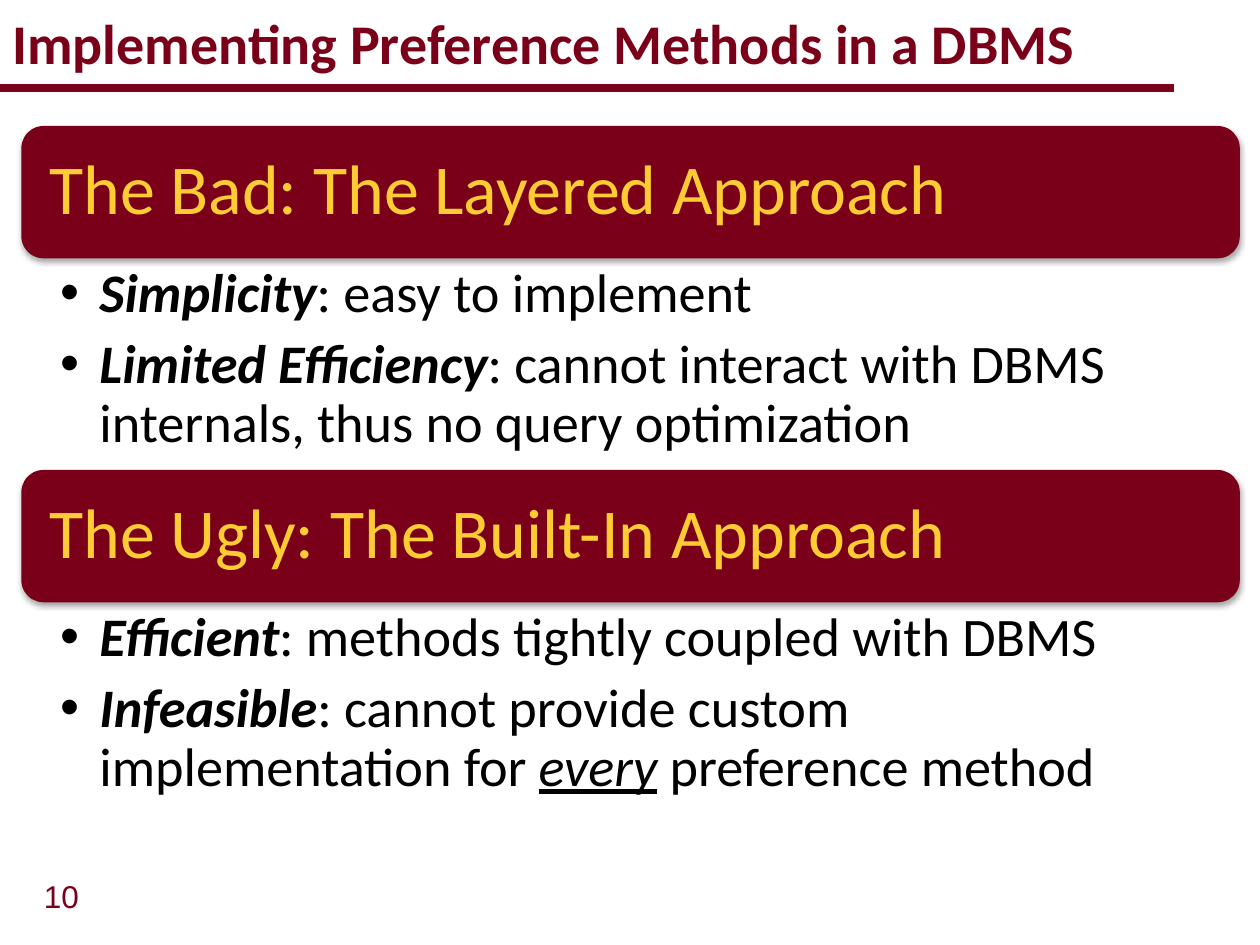
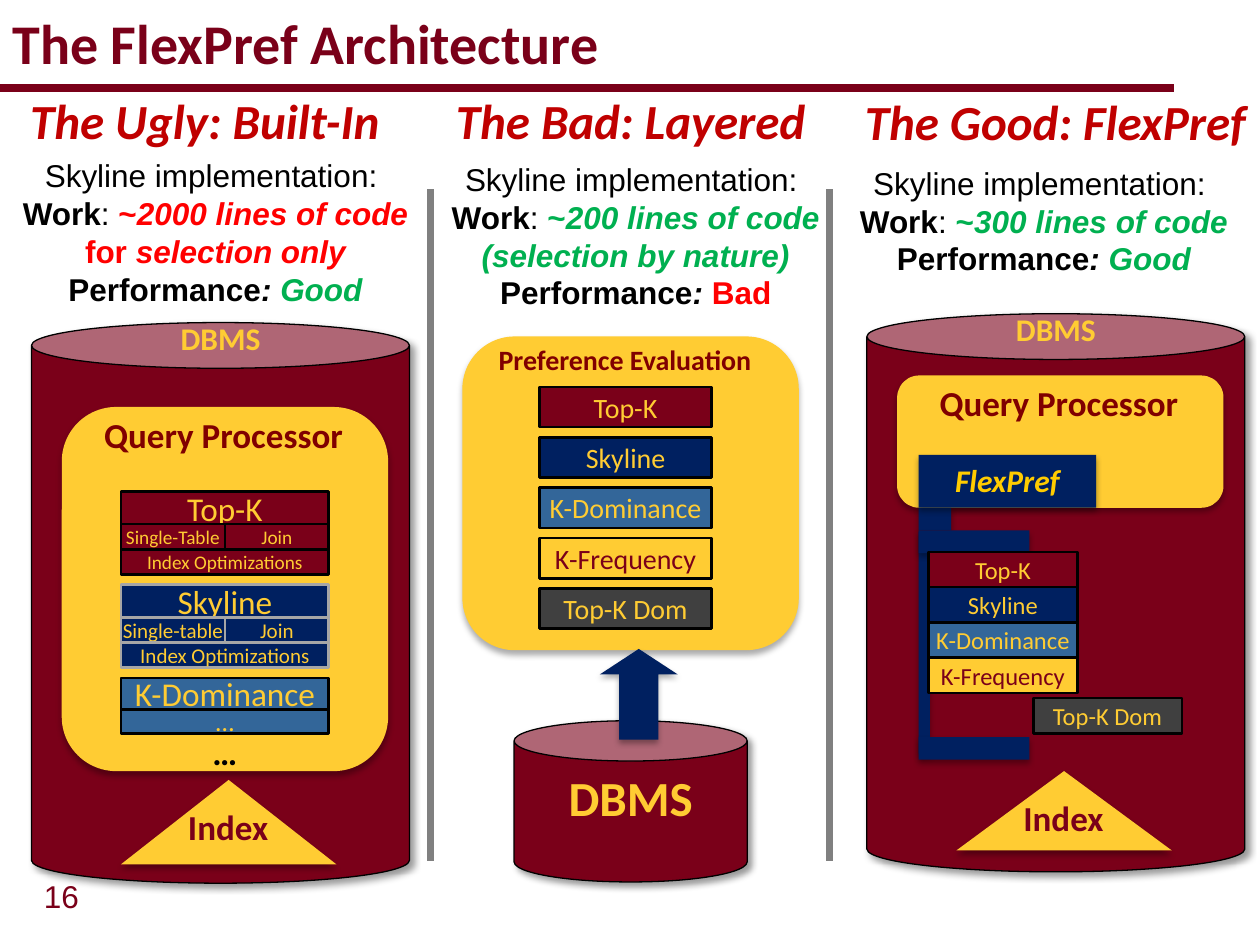
from lxml import etree
from pptx import Presentation
from pptx.dml.color import RGBColor
from pptx.enum.shapes import MSO_CONNECTOR as CONN, MSO_SHAPE as SHAPE
from pptx.enum.text import MSO_ANCHOR as ANCHOR, PP_ALIGN as ALIGN
from pptx.oxml import parse_xml
from pptx.oxml.ns import nsdecls, qn
from pptx.util import Inches, Pt

C = {
    "maroon": "7A0019", "gold": "FFCC33", "brown": "800000", "navy": "002060",
    "blue": "336699", "dark": "404040", "black": "000000", "gray": "808080",
    "silver": "A6A6A6", "crimson": "C00000", "red": "FF0000", "green": "00B050",
    "yellow": "FFCC00",
}
SHADOWS = {
    "title": (35, 3.1, 1.8, 90),
    "box": (32, 3.5, 2.2, 90),
    "can": (40, 4, 3, 45),
}
METHODS = [
    ("Top-K", "maroon", "gold"),
    ("Skyline", "navy", "gold"),
    ("K-Dominance", "blue", "gold"),
    ("K-Frequency", "gold", "maroon"),
    ("Top-K Dom", "dark", "gold"),
]


def rgb(name):
    return RGBColor.from_string(C[name])


class Deck:
    def __init__(self):
        self.prs = Presentation()
        self.prs.slide_width, self.prs.slide_height = Inches(10), Inches(7.5)
        self.s = None

    def slide(self, title, number):
        self.s = self.prs.slides.add_slide(self.prs.slide_layouts[6])
        self.text(0.25, 6.91, 0.51, 0.4, number, 18, "maroon", font="Arial",
                  align=ALIGN.LEFT, wrap=False)
        self.line(-0.01, 0.7, 9.32, 0.7, "maroon", 4.5)
        self.text(0, 0, 9.5, 0.67, title, 32, "maroon", "b",
                  align=ALIGN.LEFT, anchor=ANCHOR.MIDDLE)

    def fill_text(self, tf, paras, size, color, style="", font="Calibri",
                  align=ALIGN.CENTER, anchor=ANCHOR.TOP, wrap=True):
        tf.word_wrap, tf.vertical_anchor = wrap, anchor
        if isinstance(paras, str):
            paras = [[(paras, style, color)]]
        for i, runs in enumerate(paras):
            p = tf.add_paragraph() if i else tf.paragraphs[0]
            p.alignment = align
            for text, look, tint in runs:
                r = p.add_run()
                r.text = text
                f = r.font
                f.name, f.size, f.color.rgb = font, Pt(size), rgb(tint)
                f.bold, f.italic, f.underline = "b" in look, "i" in look, "u" in look

    def text(self, x, y, w, h, paras, size, color, style="", **options):
        tb = self.s.shapes.add_textbox(Inches(x), Inches(y), Inches(w), Inches(h))
        self.fill_text(tb.text_frame, paras, size, color, style, **options)
        return tb.text_frame

    def shape(self, kind, x, y, w, h, fill, line=None, width=0.75, shadow=None, adj=()):
        sp = self.s.shapes.add_shape(kind, Inches(x), Inches(y), Inches(w), Inches(h))
        sp.shadow.inherit = False
        sp.fill.solid()
        sp.fill.fore_color.rgb = rgb(fill)
        if line:
            sp.line.color.rgb, sp.line.width = rgb(line), Pt(width)
        else:
            sp.line.fill.background()
        for i, value in enumerate(adj):
            sp.adjustments[i] = value
        if shadow:
            self.drop_shadow(sp, *SHADOWS[shadow])
        return sp

    def drop_shadow(self, sp, alpha, blur, dist, angle):
        effects = sp._element.spPr.find(qn("a:effectLst"))
        effects.append(parse_xml(
            f'<a:outerShdw {nsdecls("a")} blurRad="{Pt(blur)}" dist="{Pt(dist)}" '
            f'dir="{angle * 60000}" rotWithShape="0"><a:srgbClr val="{C["black"]}">'
            f'<a:alpha val="{alpha * 1000}"/></a:srgbClr></a:outerShdw>'))

    def line(self, x1, y1, x2, y2, color, width):
        cx = self.s.shapes.add_connector(
            CONN.STRAIGHT, Inches(x1), Inches(y1), Inches(x2), Inches(y2))
        cx.line.color.rgb, cx.line.width = rgb(color), Pt(width)
        etree.SubElement(cx._element.spPr, qn("a:effectLst"))

    def cell(self, x, y, w, h, label, fill, color, size, line="black"):
        sp = self.shape(SHAPE.RECTANGLE, x, y, w, h, fill, line, 1.5)
        self.fill_text(sp.text_frame, label, size, color, anchor=ANCHOR.MIDDLE, wrap=False)

    def section(self, y, heading, points):
        sp = self.shape(SHAPE.ROUNDED_RECTANGLE, 0.17, y, 9.67, 1.05, "maroon", shadow="title")
        tf = sp.text_frame
        tf.margin_left = tf.margin_right = tf.margin_top = tf.margin_bottom = Inches(0.17)
        self.fill_text(tf, heading, 40, "gold", align=ALIGN.LEFT, anchor=ANCHOR.MIDDLE)
        tf.paragraphs[0].line_spacing = 0.9
        tf = self.text(0.17, y + 1.05, 9.67, 1.68, points, 31, "black", align=ALIGN.LEFT)
        tf.margin_left = tf.margin_right = Inches(0.31)
        tf.margin_top = tf.margin_bottom = Inches(0.06)
        for p in tf.paragraphs:
            p.line_spacing, p.space_after = 0.9, Pt(7)
            pPr = p._p.get_or_add_pPr()
            pPr.set("marL", str(Inches(0.31)))
            pPr.set("indent", str(-Inches(0.31)))
            etree.SubElement(pPr, qn("a:buFont")).set("typeface", "Arial")
            etree.SubElement(pPr, qn("a:buChar")).set("char", "•")

    def dbms(self, x, y, h, processor_y, processor_h, index_y, index_h):
        self.shape(SHAPE.CAN, x, y, 3, h, "maroon", "black", shadow="can", adj=[0.121])
        self.shape(SHAPE.ROUNDED_RECTANGLE, x + 0.24, processor_y, 2.59, processor_h,
                   "gold", shadow="box")
        self.text(x + 0.29, processor_y, 2.47, 0.44, "Query Processor", 20, "brown", "b")
        self.text(x + 1.06, y - 0.08, 0.88, 0.4, "DBMS", 18, "gold", "b")
        self.shape(SHAPE.ISOSCELES_TRIANGLE, x + 0.71, index_y, 1.71, index_h,
                   "gold", shadow="box")
        self.text(x + 1.12, index_y + 0.15, 0.88, 0.44, "Index", 20, "maroon", "b")

    def method_block(self, y, name, fill, line, size, single):
        x, w = 0.96, 1.65
        self.cell(x, y, w, 0.27, name, fill, "gold", 19, line)
        for i, label in enumerate((single, "Join")):
            self.cell(x + i * w / 2, y + 0.26, w / 2, 0.2, label, fill, "gold", size, line)
        self.cell(x, y + 0.46, w, 0.2, "Index Optimizations", fill, "gold", size, line)

    def summary(self, x, y, w, work, verdict):
        self.text(x, y, w, 1.31, [
            [("Skyline implementation: ", "", "black")],
            [("Work", "b", "black"), (": ", "", "black")] + work,
            [("Performance", "b", "black"), (": ", "bi", "black"), verdict],
        ], 18, "black", font="Arial")


def approaches(d):
    d.slide("Implementing Preference Methods in a DBMS", "10")
    d.section(1, "The Bad: The Layered Approach", [
        [("Simplicity", "bi", "black"), (": easy to implement", "", "black")],
        [("Limited Efficiency", "bi", "black"),
         (": cannot interact with DBMS internals, thus no query optimization", "", "black")],
    ])
    d.section(3.73, "The Ugly: The Built-In Approach", [
        [("Efficient", "bi", "black"), (": methods tightly coupled with DBMS", "", "black")],
        [("Infeasible", "bi", "black"),
         (": cannot provide custom implementation for ", "", "black"),
         ("every", "iu", "black"), (" preference method", "", "black")],
    ])


def flexpref_column(d):
    d.dbms(6.88, 2.49, 4.43, 2.98, 1.05, 6.12, 0.63)
    x = 7.29
    for y, w, h in [(4.22, 0.09, 1.76), (4.03, 0.26, 0.18), (4.21, 0.88, 0.18),
                    (3.61, 1.41, 0.42), (5.85, 0.88, 0.18)]:
        d.shape(SHAPE.RECTANGLE, x, y, w, h, "navy", shadow="box")
    d.text(x, 3.61, 1.41, 0.4, "FlexPref", 18, "yellow", "bi")
    for i, method in enumerate(METHODS[:-1]):
        d.cell(7.37, 4.38 + i * 0.28, 1.18, 0.28, *method, 14)
    d.cell(8.2, 5.54, 1.18, 0.28, *METHODS[-1], 14)


def built_in_column(d):
    d.dbms(0.25, 2.56, 4.45, 3.23, 2.89, 6.19, 0.67)
    d.method_block(3.9, "Top-K", "maroon", "black", 11, "Single-Table")
    d.method_block(4.64, "Skyline", "navy", "silver", 12, "Single-table")
    d.cell(0.96, 5.38, 1.65, 0.25, "K-Dominance", "blue", "gold", 19)
    d.cell(0.96, 5.63, 1.65, 0.19, "…", "blue", "gold", 15)
    d.text(0.96, 5.75, 1.65, 0.39, "…", 20, "black", "b")


def layered_column(d):
    d.shape(SHAPE.ROUNDED_RECTANGLE, 3.67, 2.67, 2.67, 2.49, "gold", shadow="box")
    d.text(3.8, 2.67, 2.32, 0.37, "Preference Evaluation", 16, "brown", "b")
    for i, method in enumerate(METHODS):
        d.cell(4.28, 3.07 + i * 0.4, 1.37, 0.32, *method, 16)
    can = d.shape(SHAPE.CAN, 4.08, 5.72, 1.85, 1.28, "maroon", "black", shadow="can")
    d.fill_text(can.text_frame, "DBMS", 28, "gold", "b")
    d.shape(SHAPE.UP_ARROW, 4.76, 5.15, 0.62, 0.72, "navy", shadow="box", adj=[0.5, 0.328])


def architecture(d):
    d.slide("The FlexPref Architecture", "16")
    flexpref_column(d)
    built_in_column(d)
    layered_column(d)
    for x in (3.42, 6.58):
        d.line(x, 1.5, x, 6.83, "gray", 4)
    for x, y, w, heading in [(0, 0.67, 3.25, "The Ugly: Built-In"),
                             (3.42, 0.67, 3.17, "The Bad: Layered"),
                             (6.75, 0.68, 3.25, "The Good: FlexPref")]:
        d.text(x, y, w, 0.57, heading, 28, "crimson", "bi")
    d.summary(0, 1.19, 3.42,
              [("~", "b", "red"), ("2000 lines of code", "bi", "red"),
               (" for ", "b", "red"), ("selection only", "bi", "red")],
              ("Good", "bi", "green"))
    d.summary(3.42, 1.22, 3.25,
              [("~", "b", "green"),
               ("200 lines of code (selection by nature)", "bi", "green")],
              ("Bad", "b", "red"))
    d.summary(6.66, 1.25, 3.25,
              [("~", "b", "green"), ("300 lines of code", "bi", "green")],
              ("Good", "bi", "green"))


def main():
    d = Deck()
    approaches(d)
    architecture(d)
    d.prs.save("out.pptx")


if __name__ == "__main__":
    main()
